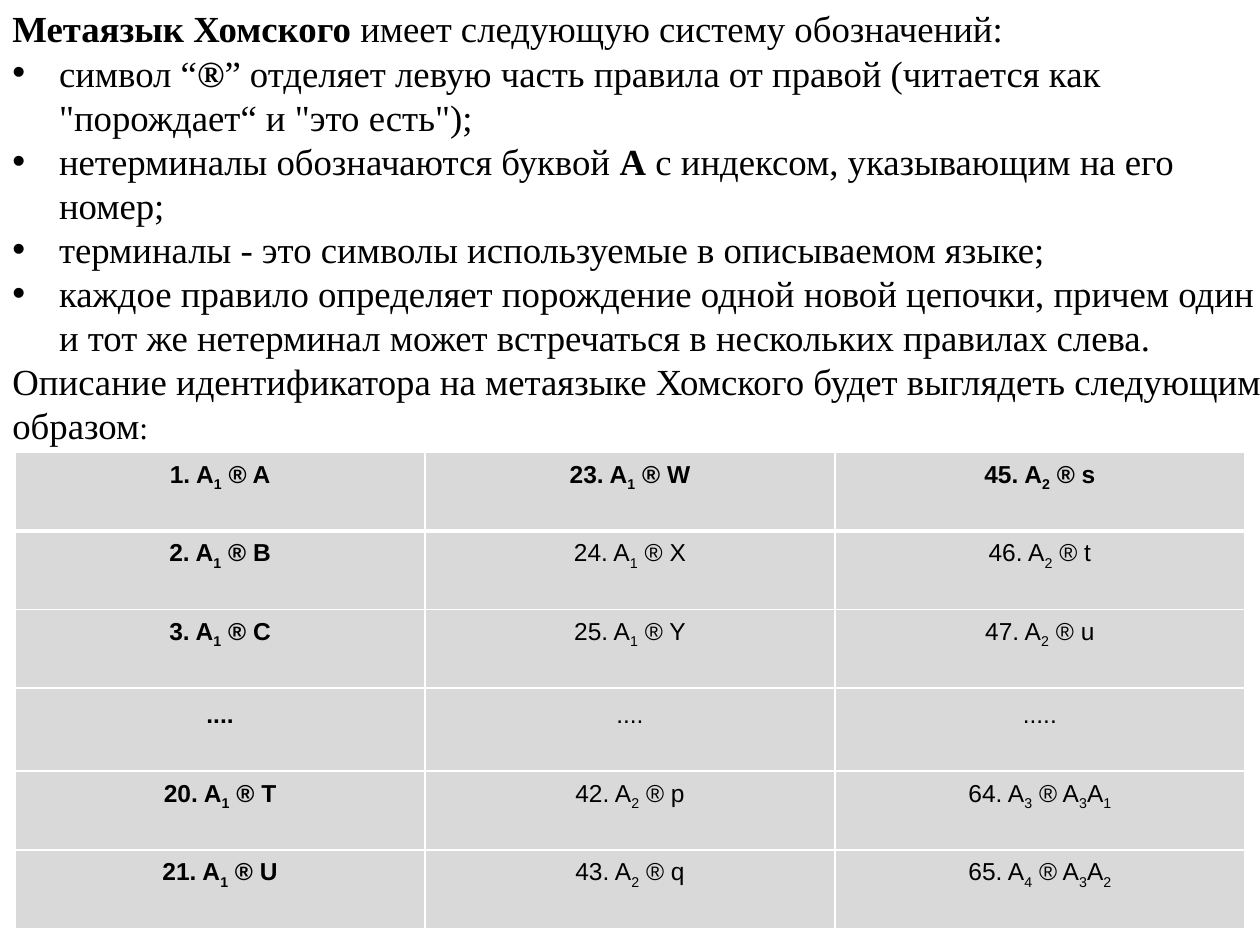
from lxml import etree
from pptx import Presentation
from pptx import util as u
from pptx.dml import color
from pptx.enum import text
from pptx.oxml import ns

INTRO = [
    "*Метаязык Хомского* имеет следующую систему обозначений:",
    "• символ “*®*” отделяет левую часть правила от правой "
    "(читается как \"порождает“ и \"это есть\"); ",
    "• нетерминалы обозначаются буквой *А* с индексом, указывающим на его номер; ",
    "• терминалы - это символы используемые в описываемом языке; ",
    "• каждое правило определяет порождение одной новой цепочки, причем один "
    "и тот же нетерминал может встречаться в нескольких правилах слева. ",
    "Описание идентификатора на метаязыке Хомского будет выглядеть следующим образом",
]
# Underscores enclose subscripts.
RULES = [
    ["1. A_1_ ® A", "23. A_1_ ® W", "45. A_2_ ® s"],
    ["2. A_1_ ® B", "24. A_1_ ® X", "46. A_2_ ® t"],
    ["3. A_1_ ® C", "25. A_1_ ® Y", "47. A_2_ ® u"],
    ["....", "....", "....."],
    ["20. A_1_ ® T", "42. A_2_ ® p", "64. A_3_ ® A_3_A_1_"],
    ["21. A_1_ ® U", "43. A_2_ ® q", "65. A_4_ ® A_3_A_2_"],
]


def rgb(value):
    """Turn a hex string into a colour."""
    return color.RGBColor.from_string(value)


def add_run(paragraph, content, font, size, bold=False):
    """Append one formatted run."""
    run = paragraph.add_run()
    run.text = content
    run.font.name, run.font.size, run.font.bold = font, u.Pt(size), bold
    run.font.color.rgb = rgb("000000")
    return run


def add_bullet(paragraph, indent):
    """Give a paragraph a hanging round bullet."""
    properties = paragraph._p.get_or_add_pPr()
    properties.set("marL", str(indent))
    properties.set("indent", str(-indent))
    etree.SubElement(properties, ns.qn("a:buFont"), typeface="Arial")
    etree.SubElement(properties, ns.qn("a:buChar"), char="•")


def add_intro(slide, left, top, width, height):
    """Place the notation text; asterisks enclose bold words."""
    frame = slide.shapes.add_textbox(left, top, width, height).text_frame
    frame.word_wrap = True
    for index, line in enumerate(INTRO):
        paragraph = frame.add_paragraph() if index else frame.paragraphs[0]
        if line.startswith("• "):
            add_bullet(paragraph, u.Inches(0.37))
            line = line[2:]
        for part, content in enumerate(line.split("*")):
            if content:
                add_run(paragraph, content, "Times New Roman", 21, part % 2 == 1)
    add_run(paragraph, ":", "Times New Roman", 18)


def set_borders(cell, widths):
    """Draw white cell borders, with widths in points by side."""
    properties = cell._tc.get_or_add_tcPr()
    for index, (side, width) in enumerate(widths.items()):
        line = etree.Element(ns.qn(f"a:ln{side}"), w=str(u.Pt(width)))
        fill = etree.SubElement(line, ns.qn("a:solidFill"))
        etree.SubElement(fill, ns.qn("a:srgbClr"), val="FFFFFF")
        properties.insert(index, line)


def fill_cell(cell, rule, bold):
    """Write one grammar rule into a grey cell."""
    cell.fill.solid()
    cell.fill.fore_color.rgb = rgb("D9D9D9")
    cell.margin_left = cell.margin_right = u.Inches(0.07)
    cell.margin_top = cell.margin_bottom = u.Inches(0.07)
    paragraph = cell.text_frame.paragraphs[0]
    paragraph.alignment = text.PP_ALIGN.CENTER
    if rule.startswith("."):
        paragraph.line_spacing = 1.15
    for part, content in enumerate(rule.split("_")):
        if content:
            run = add_run(paragraph, content, "Arial", 14, bold)
            if part % 2:
                run.font._element.set("baseline", "-25000")


def add_rules(slide, left, top, width, height):
    """Place the table of rules, bold in its first row and column."""
    table = slide.shapes.add_table(len(RULES), 3, left, top, width, height).table
    dots_height = u.Inches(0.66)
    row_height = (height - dots_height) // (len(RULES) - 1)
    for row, rules in enumerate(RULES):
        table.rows[row].height = dots_height if rules[0] == "...." else row_height
        for column, rule in enumerate(rules):
            cell = table.cell(row, column)
            fill_cell(cell, rule, row == 0 or column == 0)
            set_borders(cell, {"L": 1, "R": 1, "T": 3 if row == 1 else 1,
                               "B": 3 if row == 0 else 1})


def main():
    """Build the slide and save it."""
    presentation = Presentation()
    presentation.slide_width, presentation.slide_height = u.Inches(10), u.Inches(7.5)
    slide = presentation.slides.add_slide(presentation.slide_layouts[6])
    add_intro(slide, 0, 0, u.Inches(10.15), u.Inches(3.67))
    add_rules(slide, u.Inches(0.12), u.Inches(3.59), u.Inches(9.76), u.Inches(3.78))
    presentation.save("out.pptx")


main()
